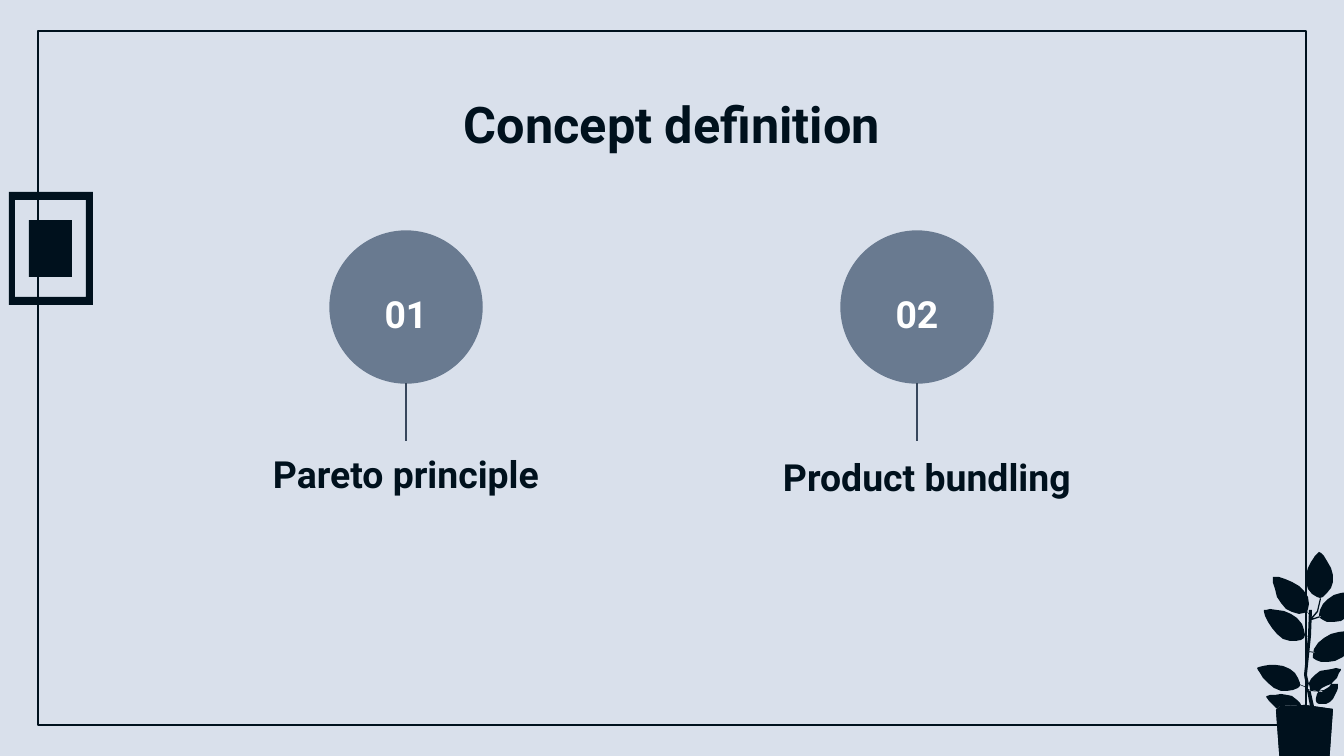
import math
from lxml import etree
from pptx import Presentation
from pptx import util as u
from pptx.dml.color import RGBColor
from pptx.enum import shapes, text
from pptx.oxml.ns import qn

INK = RGBColor(0x00, 0x11, 0x1D)
SLATE = RGBColor(0x69, 0x7A, 0x90)
STEEL = RGBColor(0x37, 0x47, 0x5C)
PAPER = RGBColor(0xD9, 0xE0, 0xEB)
WHITE = RGBColor(0xFF, 0xFF, 0xFF)
FONT = "Roboto"
PX = 914400 / 134.4

TITLE = "Concept definition"
CONCEPTS = [
    {"number": "01", "name": "Pareto principle", "center": 406, "label": (210, 438, 392, 85)},
    {"number": "02", "name": "Product bundling", "center": 917, "label": (720, 441, 414, 85)},
]
CIRCLE_TOP, CIRCLE_SIZE, STALK_END = 231, 152, 441

FRAME = [
    [(9, 192), (93, 192), (93, 305), (9, 305)],
    [(15, 200), (15, 297), (86, 297), (86, 200)],
]
LEAVES = [
    ((1320, 598), (1319, 552), 14),
    ((1307, 612), (1273, 577), 13),
    ((1304, 638), (1264, 610), 13),
    ((1300, 686), (1257, 668), 12),
    ((1302, 709), (1266, 697), 9),
    ((1320, 618), (1361, 594), 13),
    ((1313, 658), (1361, 633), 13),
    ((1308, 689), (1341, 669), 9),
    ((1317, 703), (1338, 684), 8),
]
STEM = [(1309, 610), (1312, 610), (1311, 636), (1307, 675), (1314, 706),
        (1310, 706), (1304, 675), (1308, 636)]
TWIGS = [
    [(1311, 618), (1306, 610)],
    [(1311, 618), (1317, 611), (1320, 598)],
    [(1311, 619), (1320, 616)],
    [(1309, 638), (1303, 632)],
    [(1308, 651), (1314, 652)],
    [(1306, 687), (1299, 684)],
    [(1308, 690), (1322, 691)],
]
POT = [(1276, 710), (1280, 706), (1305, 705), (1333, 709), (1329, 765),
       (1305, 769), (1280, 765)]


def px(n):
    return round(n * PX)


def paint(sp, fill=None, line=None):
    sp.shadow.inherit = False
    if fill is None:
        sp.fill.background()
    else:
        sp.fill.solid()
        sp.fill.fore_color.rgb = fill
    if line is None:
        sp.line.fill.background()
    else:
        sp.line.color.rgb = line
        sp.line.width = u.Pt(0.75)


def add_preset(s, kind, box, fill=None, line=None):
    paint(s.shapes.add_shape(kind, *map(px, box)), fill, line)


def add_outlines(s, outlines):
    builder = s.shapes.build_freeform(*outlines[0][0], scale=PX)
    for i, points in enumerate(outlines):
        if i:
            builder.move_to(*points[0])
        builder.add_line_segments(points[1:], close=True)
    paint(builder.convert_to_shape(), INK)


def add_line(s, start, end):
    line = s.shapes.add_connector(shapes.MSO_CONNECTOR.STRAIGHT, *map(px, start + end))
    line.line.color.rgb = STEEL
    line.line.width = u.Pt(0.75)
    etree.SubElement(line._element.spPr, qn("a:effectLst"))


def add_text(s, words, box, size, color):
    tf = s.shapes.add_textbox(*map(px, box)).text_frame
    tf.word_wrap = True
    tf.margin_left = tf.margin_right = tf.margin_top = tf.margin_bottom = u.Inches(0.1)
    tf.vertical_anchor = text.MSO_ANCHOR.TOP
    p = tf.paragraphs[0]
    p.text = words
    p.alignment = text.PP_ALIGN.CENTER
    p.font.name = FONT
    p.font.size = u.Pt(size)
    p.font.bold = True
    p.font.color.rgb = color


def leaf_outline(base, tip, half_width, steps=10):
    dx, dy = tip[0] - base[0], tip[1] - base[1]
    length = math.hypot(dx, dy)
    sides = {1: [], -1: []}
    for i in range(steps + 1):
        t = (1 - math.cos(math.pi * i / steps)) / 2
        spread = half_width * max(0, math.sin(math.pi * t ** 0.8)) ** 0.8 / length
        for side, points in sides.items():
            points.append((round(base[0] + t * dx - side * spread * dy, 2),
                           round(base[1] + t * dy + side * spread * dx, 2)))
    return sides[1] + sides[-1][-2:0:-1]


def twig_outline(points):
    return points + [(x + 0.7, y + 0.7) for x, y in reversed(points)]


def add_plant(s):
    leaves = [leaf_outline(*leaf) for leaf in LEAVES]
    twigs = [twig_outline(twig) for twig in TWIGS]
    add_outlines(s, leaves + twigs + [STEM, POT])
    add_outlines(s, [POT])


def add_concept(s, concept):
    center = concept["center"]
    left, bottom = center - CIRCLE_SIZE // 2, CIRCLE_TOP + CIRCLE_SIZE
    add_preset(s, shapes.MSO_SHAPE.OVAL, (left, CIRCLE_TOP, CIRCLE_SIZE, CIRCLE_SIZE),
               SLATE, SLATE)
    add_text(s, concept["number"], (center - 46, 278, 92, 58), 20, WHITE)
    add_line(s, (center, bottom), (center, STALK_END))
    add_text(s, concept["name"], concept["label"], 20, INK)


def main():
    prs = Presentation()
    prs.slide_width, prs.slide_height = px(1344), px(756)
    s = prs.slides.add_slide(prs.slide_layouts[6])
    s.background.fill.solid()
    s.background.fill.fore_color.rgb = PAPER

    add_preset(s, shapes.MSO_SHAPE.RECTANGLE, (38, 31, 1268, 694), line=INK)
    add_outlines(s, FRAME)
    add_preset(s, shapes.MSO_SHAPE.RECTANGLE, (29, 220, 43, 57), INK)
    add_plant(s)

    add_text(s, TITLE, (106, 80, 1132, 85), 27, INK)
    for concept in CONCEPTS:
        add_concept(s, concept)
    prs.save("out.pptx")


if __name__ == "__main__":
    main()
